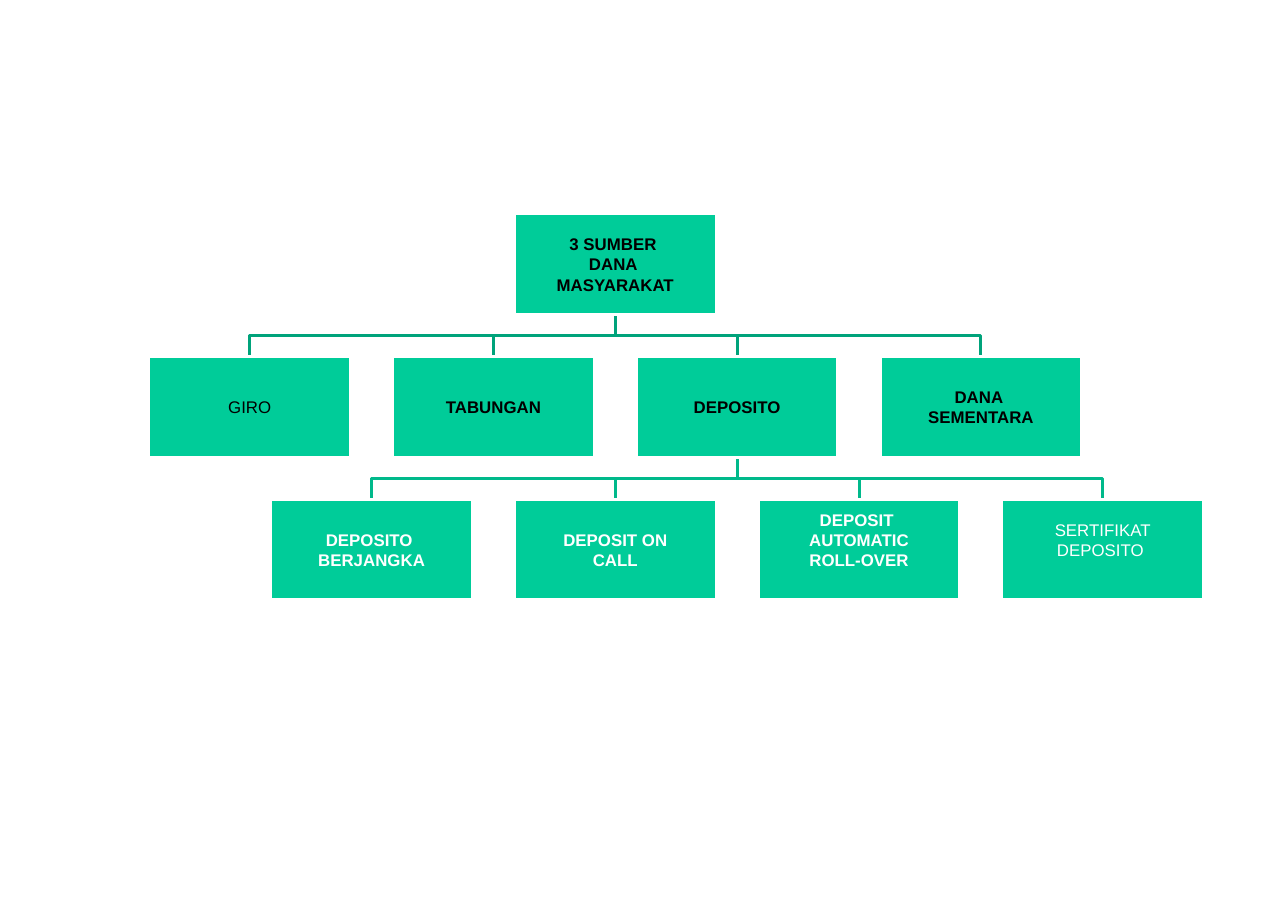
"""Build an organisation chart of the sources of public funds."""
from pptx import Presentation
from pptx.dml.color import RGBColor
from pptx.enum.shapes import MSO_SHAPE
from pptx.enum.text import MSO_ANCHOR, PP_ALIGN
from pptx.util import Cm, Pt

RECTANGLE = MSO_SHAPE.RECTANGLE
MIDDLE = MSO_ANCHOR.MIDDLE
CENTER = PP_ALIGN.CENTER

COLORS = {
    "box": "00CC99",
    "upper_link": "00A37B",
    "lower_link": "00B98B",
    "dark_text": "000000",
    "light_text": "FFFFFF",
    "outline": "FFFFFF",
}
BOX_WIDTH, BOX_HEIGHT = 4.65, 2.32
COLUMN_STEP, ROW_STEP = 5.62, 3.29
ROOT_CENTER, ROOT_TOP = 14.19, 4.93
DEPOSIT_CENTER = ROOT_CENTER + COLUMN_STEP / 2
INSET, LINE_HEIGHT = 0.03, 0.45


def add_link(slide, parent_center, child_center, parent_row, color):
    start = ROOT_TOP + parent_row * ROW_STEP + BOX_HEIGHT
    end = ROOT_TOP + (parent_row + 1) * ROW_STEP
    middle = (start + end) / 2
    builder = slide.shapes.build_freeform(Cm(parent_center), Cm(start))
    corners = [(parent_center, middle), (child_center, middle), (child_center, end)]
    builder.add_line_segments([(Cm(x), Cm(y)) for x, y in corners], close=False)
    link = builder.convert_to_shape()
    link.shadow.inherit = False
    link.fill.background()
    link.line.color.rgb = RGBColor.from_string(COLORS[color])
    link.line.width = Pt(2)


def add_box(slide, center, row, text, color, bold, bottom_inset):
    box = slide.shapes.add_shape(
        RECTANGLE, Cm(center - BOX_WIDTH / 2), Cm(ROOT_TOP + row * ROW_STEP),
        Cm(BOX_WIDTH), Cm(BOX_HEIGHT))
    box.shadow.inherit = False
    box.fill.solid()
    box.fill.fore_color.rgb = RGBColor.from_string(COLORS["box"])
    box.line.color.rgb = RGBColor.from_string(COLORS["outline"])
    box.line.width = Pt(2)
    frame = box.text_frame
    frame.word_wrap = True
    frame.vertical_anchor = MIDDLE
    frame.margin_left = frame.margin_right = frame.margin_top = Cm(INSET)
    frame.margin_bottom = Cm(bottom_inset)
    frame.text = text
    for paragraph in frame.paragraphs:
        paragraph.alignment = CENTER
        for run in paragraph.runs:
            run.font.name = "Arial"
            run.font.size = Pt(11)
            run.font.bold = bold
            run.font.color.rgb = RGBColor.from_string(COLORS[color])


presentation = Presentation()
presentation.slide_width = Cm(29.7)
presentation.slide_height = Cm(21)
slide = presentation.slides.add_slide(presentation.slide_layouts[6])

RAISED = INSET + LINE_HEIGHT
funds = [
    ("GIRO", False, INSET),
    ("TABUNGAN", True, INSET),
    ("DEPOSITO", True, INSET),
    ("DANA \nSEMENTARA", True, INSET),
]
deposits = [
    ("DEPOSITO \nBERJANGKA", True, INSET),
    ("DEPOSIT ON\nCALL", True, INSET),
    ("DEPOSIT \nAUTOMATIC\nROLL-OVER", True, RAISED),
    ("SERTIFIKAT\nDEPOSITO ", False, RAISED),
]
levels = [
    (ROOT_CENTER, funds, "upper_link", "dark_text"),
    (DEPOSIT_CENTER, deposits, "lower_link", "light_text"),
]
offsets = [(column - 1.5) * COLUMN_STEP for column in range(4)]

for parent_row, (parent_center, children, link_color, text_color) in enumerate(levels):
    for offset in offsets:
        add_link(slide, parent_center, parent_center + offset, parent_row, link_color)

add_box(slide, ROOT_CENTER, 0, "3 SUMBER \nDANA \nMASYARAKAT", "dark_text", True, INSET)
for row, (parent_center, children, link_color, text_color) in enumerate(levels, start=1):
    for offset, (text, bold, bottom_inset) in zip(offsets, children):
        add_box(slide, parent_center + offset, row, text, text_color, bold, bottom_inset)

presentation.save("out.pptx")
